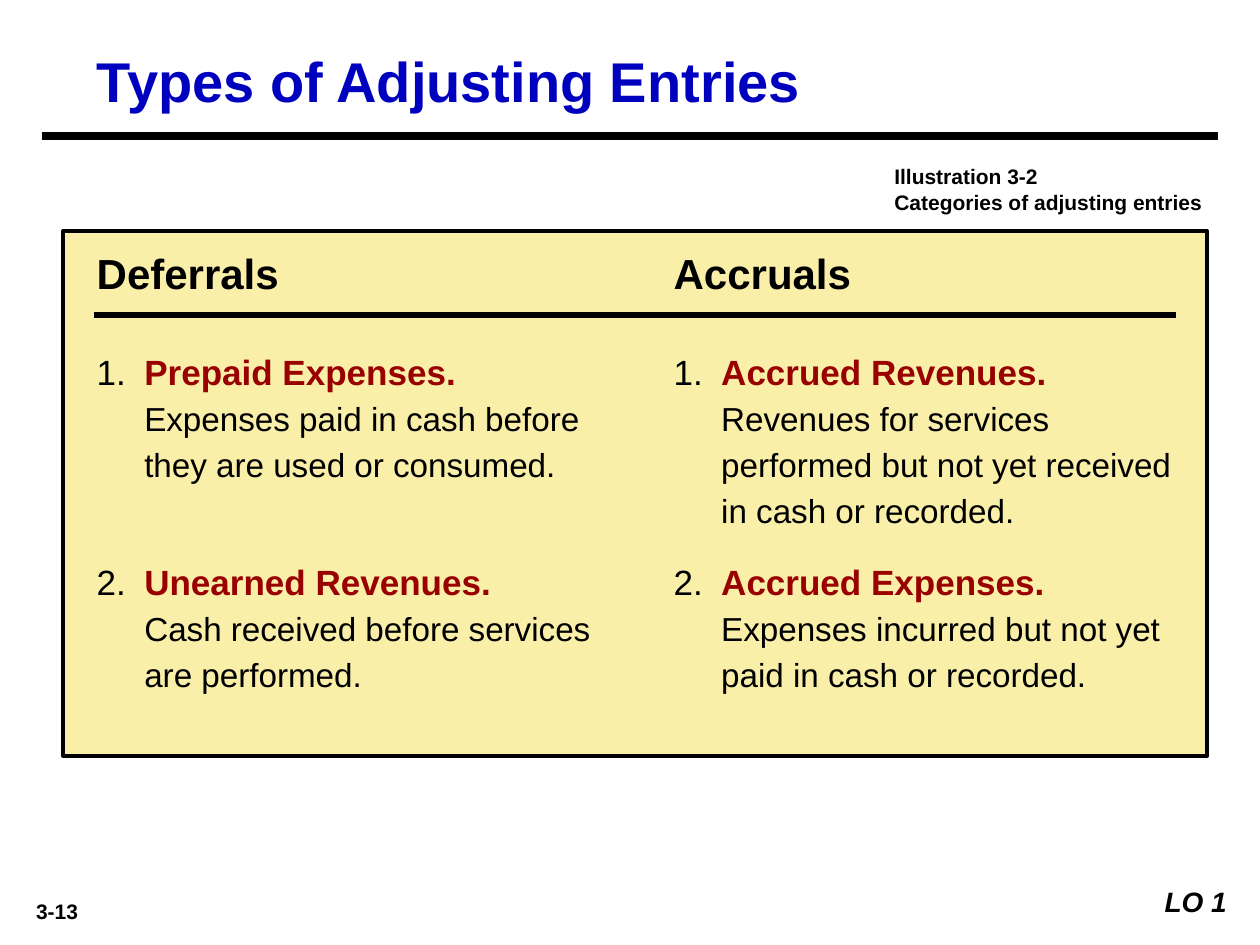
"""Build the slide on the types of adjusting entries."""
from lxml.etree import SubElement
from pptx import Presentation
from pptx.dml.color import RGBColor
from pptx.enum.shapes import MSO_CONNECTOR, MSO_SHAPE
from pptx.enum.text import MSO_ANCHOR, PP_ALIGN
from pptx.oxml.ns import qn
from pptx.util import Cm, Pt

TITLE = "Types of Adjusting Entries"
NOTE = ["Illustration 3-2", "Categories of adjusting entries"]
PAGE, GOAL = "3-13", "LO 1"
GROUPS = [
    ("Deferrals", [
        ("Prepaid Expenses.", "Expenses paid in cash before they are used or consumed.", False),
        ("Unearned Revenues.", "Cash received before services are performed.", True),
    ]),
    ("Accruals", [
        ("Accrued Revenues.", "Revenues for services performed but not yet received "
         "in cash or recorded.", False),
        ("Accrued Expenses.", "Expenses incurred but not yet paid in cash or recorded.", False),
    ]),
]
THEME = {
    "font": "Arial", "ink": "000000", "title": "0000BF", "term": "990000", "panel": "F9EFA9",
    "big": 32, "head": 24, "item": 20, "body": 19, "goal": 16, "small": 12,
}
LEFT, STEP, TOP, ROW = 1.7, 11.63, 6.56, 4.23
HANG = 0.96


def write(para, text, size, color="ink", bold=True, italic=False):
    run = para.add_run()
    run.text = text
    font = run.font
    font.name, font.size = THEME["font"], Pt(THEME[size])
    font.bold, font.italic = bold, italic
    font.color.rgb = RGBColor.from_string(THEME[color])


def add_box(slide, x, y, w, h, wrap=True):
    frame = slide.shapes.add_textbox(Cm(x), Cm(y), Cm(w), Cm(h)).text_frame
    frame.word_wrap = wrap
    return frame


def add_rule(slide, x, y, end, width):
    line = slide.shapes.add_connector(MSO_CONNECTOR.STRAIGHT, Cm(x), Cm(y), Cm(end), Cm(y))
    line.line.color.rgb = RGBColor.from_string(THEME["ink"])
    line.line.width = Pt(width)
    SubElement(line._element.spPr, qn("a:effectLst"))


def indent(para, first):
    props = para._p.get_or_add_pPr()
    props.set("marL", str(Cm(HANG)))
    props.set("indent", str(Cm(first)))
    para.line_spacing = 1.15


def add_item(slide, x, y, num, term, body, split):
    frame = add_box(slide, x, y, 10.58, 4.45)
    frame.margin_top = Cm(0.38)
    para = frame.paragraphs[0]
    indent(para, -HANG)
    write(para, f"{num}.\t", "item", bold=False)
    write(para, term if split else term + " ", "item", "term")
    if split:
        para = frame.add_paragraph()
        indent(para, 0)
    write(para, body, "body", bold=False)


def add_panel(slide):
    panel = slide.shapes.add_shape(MSO_SHAPE.RECTANGLE, Cm(1.27), Cm(4.66), Cm(23.07), Cm(10.58))
    panel.shadow.inherit = False
    panel.fill.solid()
    panel.fill.fore_color.rgb = RGBColor.from_string(THEME["panel"])
    panel.line.color.rgb = RGBColor.from_string(THEME["ink"])
    panel.line.width = Pt(2.25)


def add_title(slide):
    title = slide.shapes.title
    title.left, title.top, title.width, title.height = Cm(LEFT), Cm(0.85), Cm(22.86), Cm(1.55)
    frame = title.text_frame
    frame.vertical_anchor = MSO_ANCHOR.MIDDLE
    para = frame.paragraphs[0]
    para.alignment = PP_ALIGN.LEFT
    write(para, TITLE, "big", "title")


def main():
    deck = Presentation()
    deck.slide_width, deck.slide_height = Cm(25.4), Cm(19.05)
    slide = deck.slides.add_slide(deck.slide_layouts[5])
    add_title(slide)
    add_rule(slide, 0.85, 2.75, 24.55, 4.5)
    note = add_box(slide, 17.78, 3.18, 6.99, 1.27)
    for i, text in enumerate(NOTE):
        write(note.add_paragraph() if i else note.paragraphs[0], text, "small")
    add_panel(slide)
    add_rule(slide, 1.9, 6.35, 23.71, 3)
    for col, (name, items) in enumerate(GROUPS):
        x = LEFT + col * STEP
        head = add_box(slide, x, 4.87, 8.04, 1.27, wrap=False)
        head.vertical_anchor = MSO_ANCHOR.MIDDLE
        write(head.paragraphs[0], name, "head")
        for row, item in enumerate(items):
            add_item(slide, x, TOP + row * ROW, row + 1, *item)
    page = add_box(slide, 0.2, 17.98, 1.9, 0.76).paragraphs[0]
    page.alignment = PP_ALIGN.CENTER
    write(page, PAGE, "small")
    goal = add_box(slide, 22.44, 17.7, 2.54, 0.94).paragraphs[0]
    goal.alignment = PP_ALIGN.RIGHT
    write(goal, GOAL, "goal", italic=True)
    deck.save("out.pptx")


if __name__ == "__main__":
    main()
